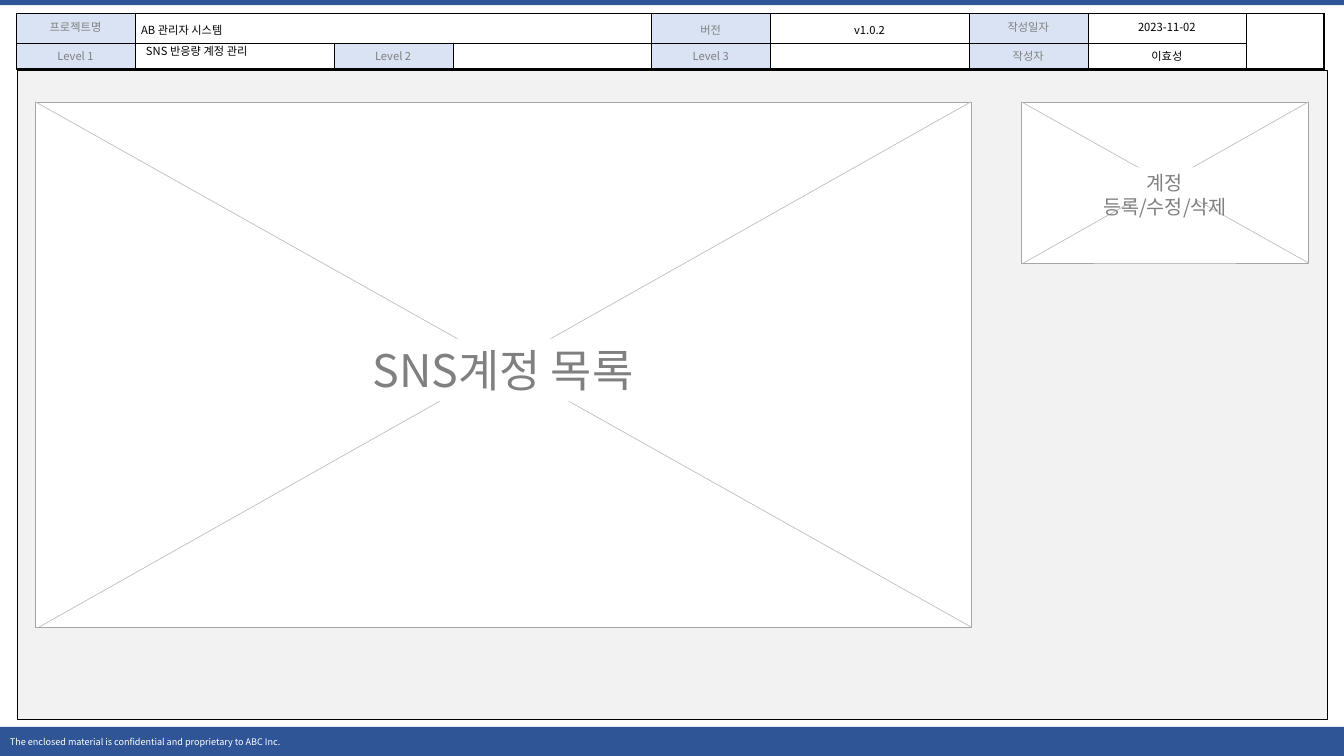
from dataclasses import dataclass
from lxml import etree
from pptx import Presentation
from pptx import util as u
from pptx.dml.color import RGBColor
from pptx.enum import shapes, text
from pptx.oxml import ns


@dataclass(frozen=True)
class Theme:
    font: str = "Noto Sans CJK KR"
    blue: str = "2F5597"
    label_fill: str = "DAE3F3"
    canvas: str = "F2F2F2"
    white: str = "FFFFFF"
    black: str = "000000"
    label: str = "808080"
    frame_line: str = "A6A6A6"
    diagonal: str = "BFBFBF"
    footer_size: float = 6.5
    small_size: float = 8
    hairline: float = 0.25
    heavy: float = 1.5


theme = Theme()


def add_box(container, left, top, width, height, fill, line=None):
    shape = container.add_shape(shapes.MSO_SHAPE.RECTANGLE, u.Inches(left), u.Inches(top),
                                u.Inches(width), u.Inches(height))
    shape.shadow.inherit = False
    shape.fill.solid()
    shape.fill.fore_color.rgb = RGBColor.from_string(fill)
    if line:
        shape.line.color.rgb = RGBColor.from_string(line)
        shape.line.width = u.Pt(theme.hairline)
    else:
        shape.line.fill.background()
    return shape


def write(paragraph, words, size, color, align=text.PP_ALIGN.LEFT):
    paragraph.text = words
    paragraph.alignment = align
    paragraph.font.size = u.Pt(size)
    paragraph.font.name = theme.font
    paragraph.font.color.rgb = RGBColor.from_string(color)


presentation = Presentation()
presentation.slide_width = u.Inches(13.33)
presentation.slide_height = u.Inches(7.5)
slide = presentation.slides.add_slide(presentation.slide_layouts[6])

# Top and bottom bars
add_box(slide.shapes, 0, 0, 13.33, 0.05, theme.blue)
footer = add_box(slide.shapes, 0, 7.21, 13.35, 0.29, theme.blue)
footer.text_frame.word_wrap = False
footer.text_frame.vertical_anchor = text.MSO_ANCHOR.MIDDLE
write(footer.text_frame.paragraphs[0],
      "The enclosed material is confidential and proprietary to ABC Inc.",
      theme.footer_size, theme.white)

# Project information table
column_widths = [1.18, 1.97, 1.18, 1.97, 1.18, 1.97, 1.18, 1.57, 0.77]
row_heights = [0.26, 0.23]
info_rows = [
    ["프로젝트명", "AB 관리자 시스템", "", "", "버전", "v1.0.2", "작성일자", "2023-11-02", ""],
    ["Level 1", "", "Level 2", "", "Level 3", "", "작성자", "이효성", ""],
]
label_cells = {(0, 0), (0, 4), (0, 6), (1, 0), (1, 2), (1, 4), (1, 6)}
loose_cells = {(0, 1), (0, 4), (0, 5)}
table = slide.shapes.add_table(2, 9, u.Inches(0.16), u.Inches(0.13),
                               u.Inches(12.97), u.Inches(0.49)).table
for column, width in zip(table.columns, column_widths):
    column.width = u.Inches(width)
for row, height in zip(table.rows, row_heights):
    row.height = u.Inches(height)
table.cell(0, 1).merge(table.cell(0, 3))
table.cell(0, 8).merge(table.cell(1, 8))

for r, words_in_row in enumerate(info_rows):
    for c, words in enumerate(words_in_row):
        cell = table.cell(r, c)
        is_label = (r, c) in label_cells
        cell.margin_left = cell.margin_right = u.Inches(0.06)
        cell.margin_top = cell.margin_bottom = u.Inches(0.05)
        paragraph = cell.text_frame.paragraphs[0]
        left_aligned = (r, c) == (0, 1)
        write(paragraph, words, theme.small_size, theme.label if is_label else theme.black,
              text.PP_ALIGN.LEFT if left_aligned else text.PP_ALIGN.CENTER)
        if (r, c) in loose_cells:
            paragraph.line_spacing = 1.2
        if not words:
            # Keeps empty cells from growing the row
            end = etree.SubElement(paragraph._p, ns.qn("a:endParaRPr"))
            end.set("sz", str(theme.small_size * 100))

        # Borders come before the fill in the cell properties
        properties = cell._tc.get_or_add_tcPr()
        for side in ("L", "R", "T", "B"):
            heavy = (side == "B" and (r == 1 or c == 8)) or (side == "R" and c == 8)
            border = etree.SubElement(properties, ns.qn("a:ln" + side))
            border.set("w", str(u.Pt(theme.heavy if heavy else theme.hairline)))
            border_fill = etree.SubElement(border, ns.qn("a:solidFill"))
            etree.SubElement(border_fill, ns.qn("a:srgbClr")).set("val", theme.black)
        cell.fill.solid()
        cell.fill.fore_color.rgb = RGBColor.from_string(
            theme.label_fill if is_label else theme.white)

# Canvas
add_box(slide.shapes, 0.17, 0.7, 12.99, 6.44, theme.canvas, theme.black)

# Screen name, over the Level 1 cell
screen_name = slide.shapes.add_textbox(u.Inches(1.35), u.Inches(0.39),
                                       u.Inches(1.97), u.Inches(0.24)).text_frame
screen_name.word_wrap = True
screen_name.vertical_anchor = text.MSO_ANCHOR.MIDDLE
write(screen_name.paragraphs[0], "SNS 반응량 계정 관리", theme.small_size, theme.black)
screen_name.paragraphs[0].line_spacing = 0.9

# Wireframe placeholders: frame, diagonal inset, label box, label, type size
wireframes = [
    ((0.35, 1.01, 9.28, 5.21), 0.04, (3.56, 3.36, 2.86, 0.62), "SNS계정 목록", 32),
    ((10.13, 1.01, 2.85, 1.6), 0.02, (10.62, 1.66, 1.87, 0.32), "계정\v등록/수정/삭제", 14),
]
for frame, inset, label_box, words, size in wireframes:
    group = slide.shapes.add_group_shape().shapes
    add_box(group, *frame, theme.white, theme.frame_line)
    left, top, width, height = frame
    right, bottom = left + width, top + height
    for start_x, start_y, end_x, end_y in [(left, top, right, bottom),
                                           (left + inset, bottom, right, top)]:
        diagonal = group.add_connector(shapes.MSO_CONNECTOR.STRAIGHT,
                                       u.Inches(start_x), u.Inches(start_y),
                                       u.Inches(end_x), u.Inches(end_y))
        diagonal.line.color.rgb = RGBColor.from_string(theme.diagonal)
        diagonal.line.width = u.Pt(0.5)
        etree.SubElement(diagonal._element.spPr, ns.qn("a:effectLst"))
    label_frame = add_box(group, *label_box, theme.white).text_frame
    label_frame.word_wrap = False
    label_frame.vertical_anchor = text.MSO_ANCHOR.TOP
    label_frame.margin_left = label_frame.margin_right = u.Inches(0.04)
    label_frame.margin_top = label_frame.margin_bottom = u.Inches(0.04)
    write(label_frame.paragraphs[0], words, size, theme.label, text.PP_ALIGN.CENTER)

presentation.save("out.pptx")
